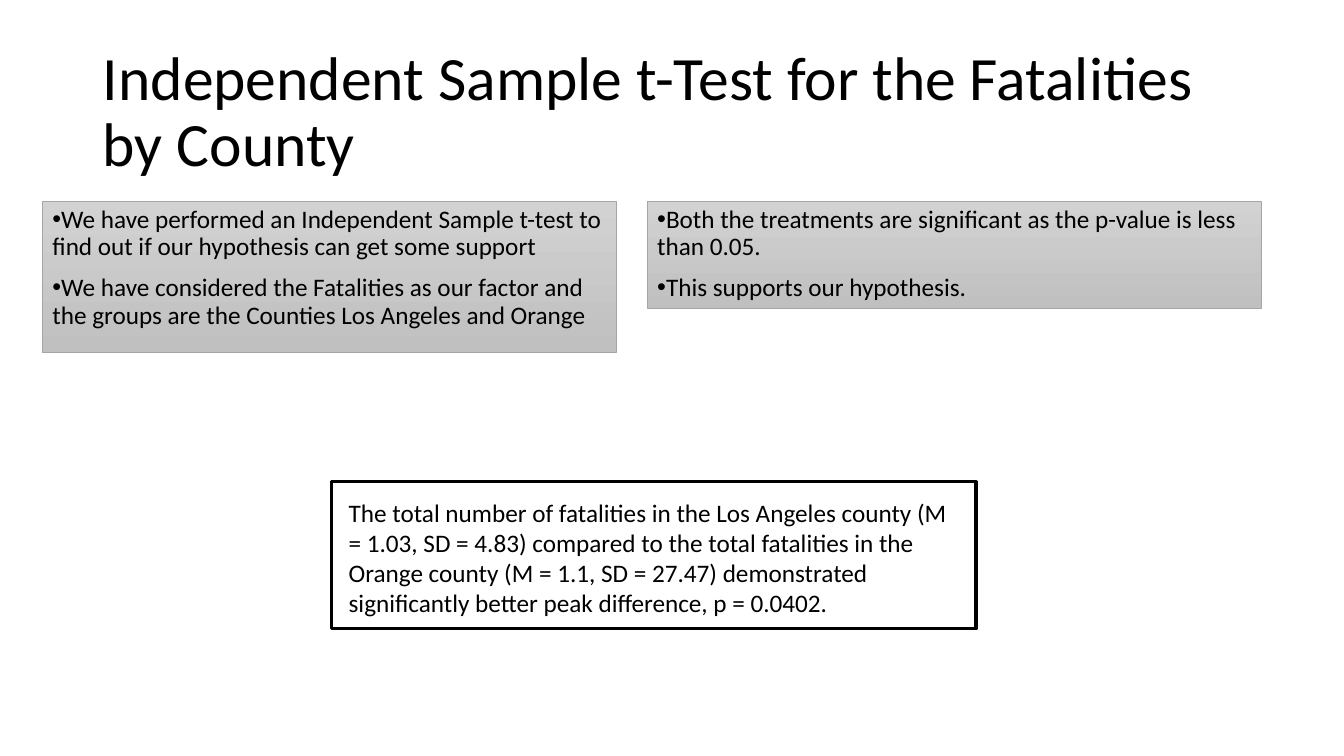
from lxml.etree import SubElement
from pptx import Presentation
from pptx.dml.color import RGBColor
from pptx.enum.shapes import MSO_SHAPE
from pptx.enum.text import MSO_ANCHOR, MSO_AUTO_SIZE, PP_ALIGN
from pptx.oxml.ns import qn
from pptx.util import Inches, Pt

COLORS = {"text": "000000", "frame": "000000", "panel_top": "D2D2D2",
          "panel_bottom": "C0C0C0", "panel_line": "A5A5A5"}
FONT = "Calibri"

TITLE = "Independent Sample t-Test for the Fatalities by County"
METHOD = [
    "We have performed an Independent Sample t-test to find out if our hypothesis can get some support",
    "We have considered the Fatalities as our factor and the groups are the Counties Los Angeles and Orange",
]
FINDINGS = [
    "Both the treatments are significant as the p-value is less than 0.05.",
    "This supports our hypothesis.",
]
RESULT = ("The total number of fatalities in the Los Angeles county (M = 1.03, SD = 4.83) "
          "compared to the total fatalities in the Orange county (M = 1.1, SD = 27.47) "
          "demonstrated significantly better peak difference, p = 0.0402.")


def color(name):
    """Return the named colour."""
    return RGBColor.from_string(COLORS[name])


def place(sp, box):
    """Move a shape to a box of left, top, width and height in inches."""
    sp.left, sp.top, sp.width, sp.height = map(Inches, box)


def write(sp, lines, size, anchor=MSO_ANCHOR.TOP):
    """Write left-aligned paragraphs into a shape."""
    tf = sp.text_frame
    tf.word_wrap = True
    tf.auto_size = MSO_AUTO_SIZE.NONE
    tf.vertical_anchor = anchor
    tf.text = "\n".join(lines)
    for p in tf.paragraphs:
        p.alignment = PP_ALIGN.LEFT
        for r in p.runs:
            r.font.name = FONT
            r.font.size = Pt(size)
            r.font.color.rgb = color("text")


def add_title(s, box):
    """Fill the title placeholder."""
    sp = s.shapes.title
    place(sp, box)
    write(sp, [TITLE], 44, MSO_ANCHOR.MIDDLE)
    sp.text_frame.paragraphs[0].line_spacing = 0.9


def fill_panel(sp, box, lines):
    """Turn a shape into a grey gradient panel with bullets."""
    place(sp, box)
    sp.fill.gradient()
    sp.fill.gradient_angle = 270
    for stop, name in zip(sp.fill.gradient_stops, ("panel_top", "panel_bottom")):
        stop.color.rgb = color(name)
    stops = sp.fill.gradient_stops
    stops[0].position, stops[1].position = 0, 1
    sp.line.color.rgb = color("panel_line")
    sp.line.width = Pt(0.5)
    write(sp, lines, 18)
    for p in sp.text_frame.paragraphs:
        p.line_spacing = 0.9
        p.space_before = Pt(10)
        pPr = p._p.get_or_add_pPr()
        pPr.set("marL", "0")
        pPr.set("indent", str(-Inches(0.25)))
        SubElement(pPr, qn("a:buFont")).set("typeface", "Arial")
        SubElement(pPr, qn("a:buChar")).set("char", "•")


def add_result(s, box):
    """Add the result text inside a black frame."""
    left, top, width, height = box
    tb = s.shapes.add_textbox(0, 0, 0, 0)
    place(tb, (left + 0.07, top + 0.1, width - 0.09, height - 0.15))
    write(tb, [RESULT], 18)
    frame = s.shapes.add_shape(MSO_SHAPE.RECTANGLE, *map(Inches, box))
    frame.shadow.inherit = False
    frame.fill.background()
    frame.line.color.rgb = color("frame")
    frame.line.width = Pt(2.25)


def main():
    """Build and save the slide."""
    prs = Presentation()
    prs.slide_width, prs.slide_height = Inches(13.33), Inches(7.5)
    s = prs.slides.add_slide(prs.slide_layouts[1])
    add_title(s, (0.92, 0.4, 11.5, 1.45))
    fill_panel(s.placeholders[1], (0.42, 2, 5.69, 1.5), METHOD)
    findings = s.shapes.add_shape(MSO_SHAPE.RECTANGLE, 0, 0, 0, 0)
    findings.shadow.inherit = False
    fill_panel(findings, (6.42, 2, 6.09, 1.06), FINDINGS)
    add_result(s, (3.29, 4.78, 6.39, 1.46))
    prs.save("out.pptx")


if __name__ == "__main__":
    main()
